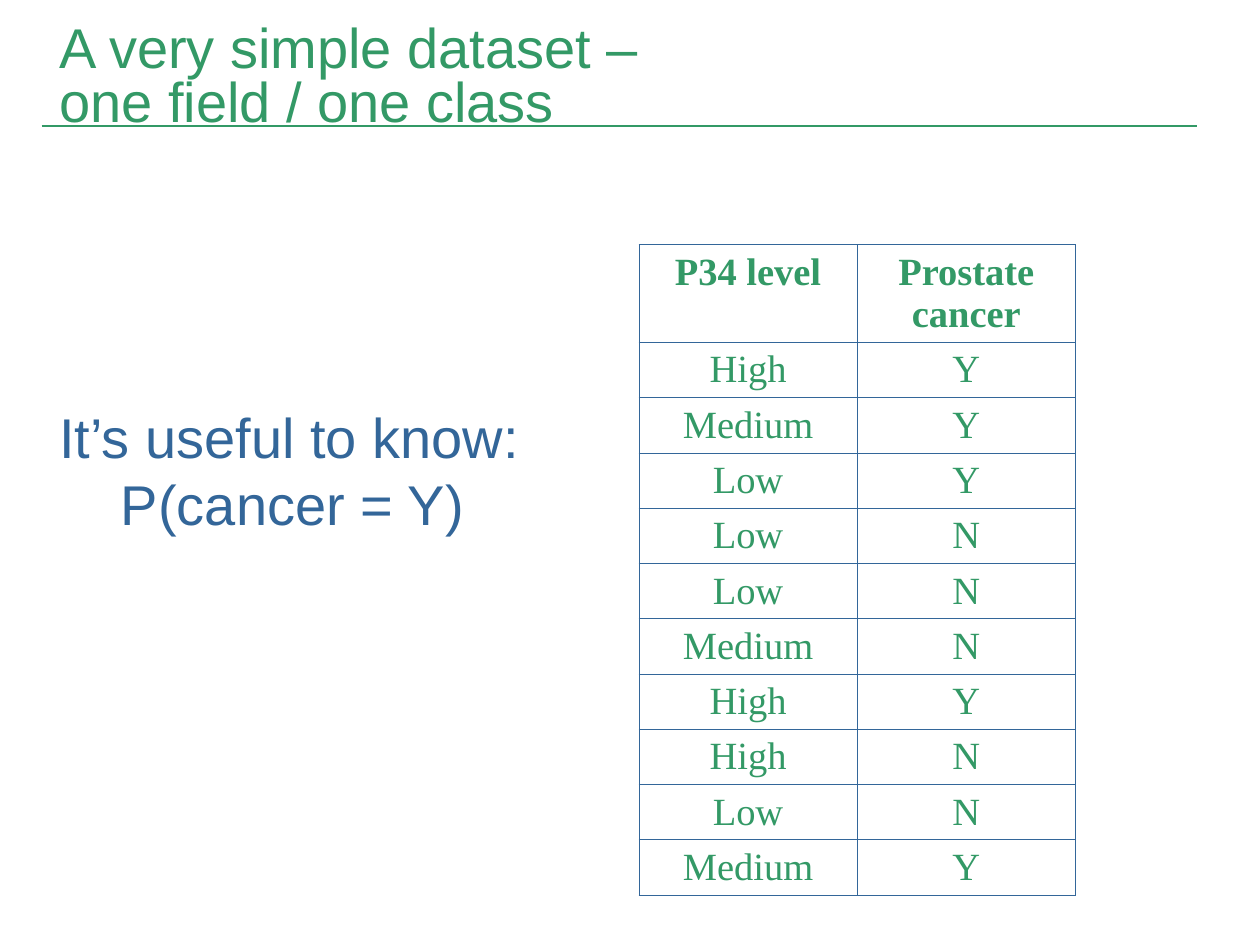
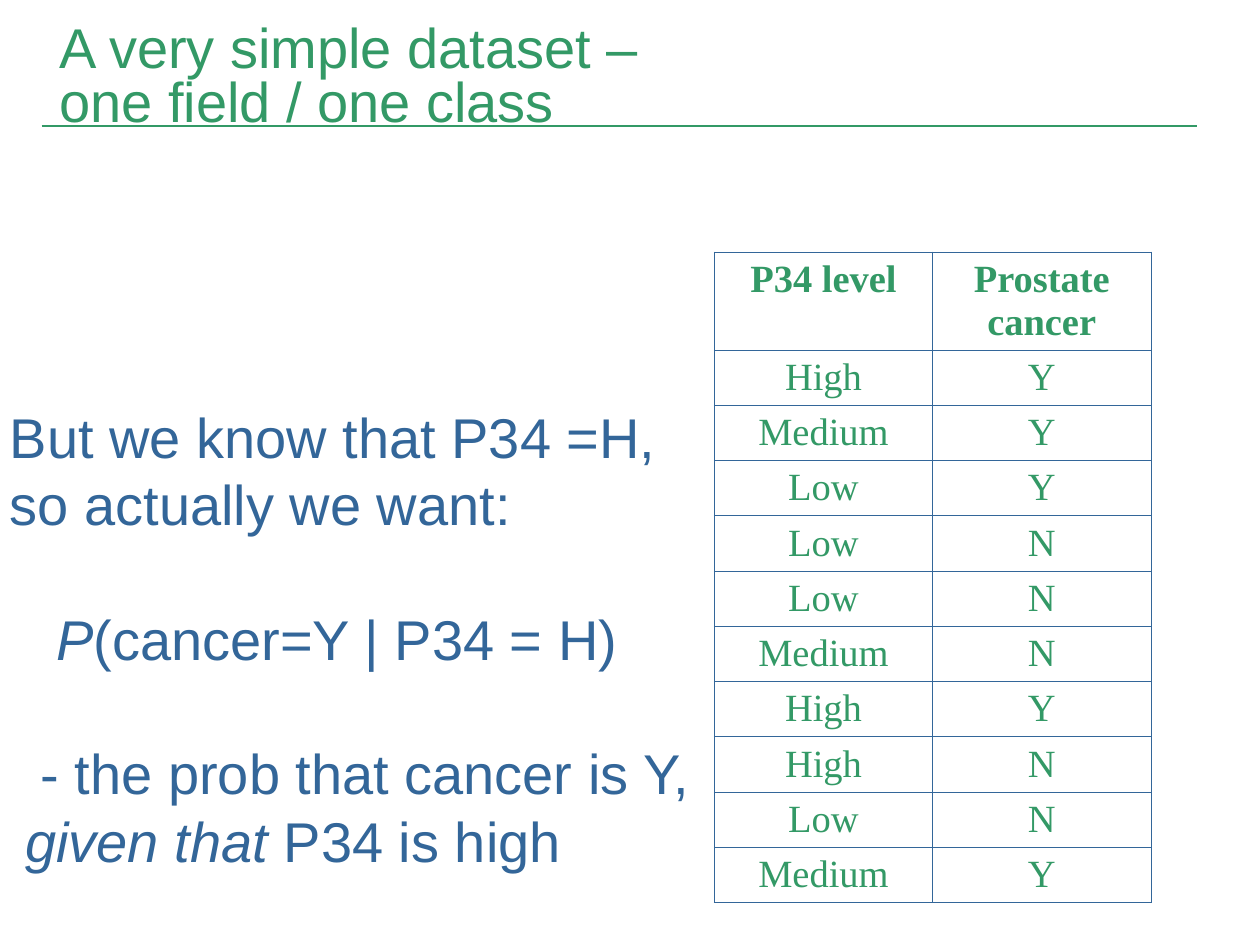
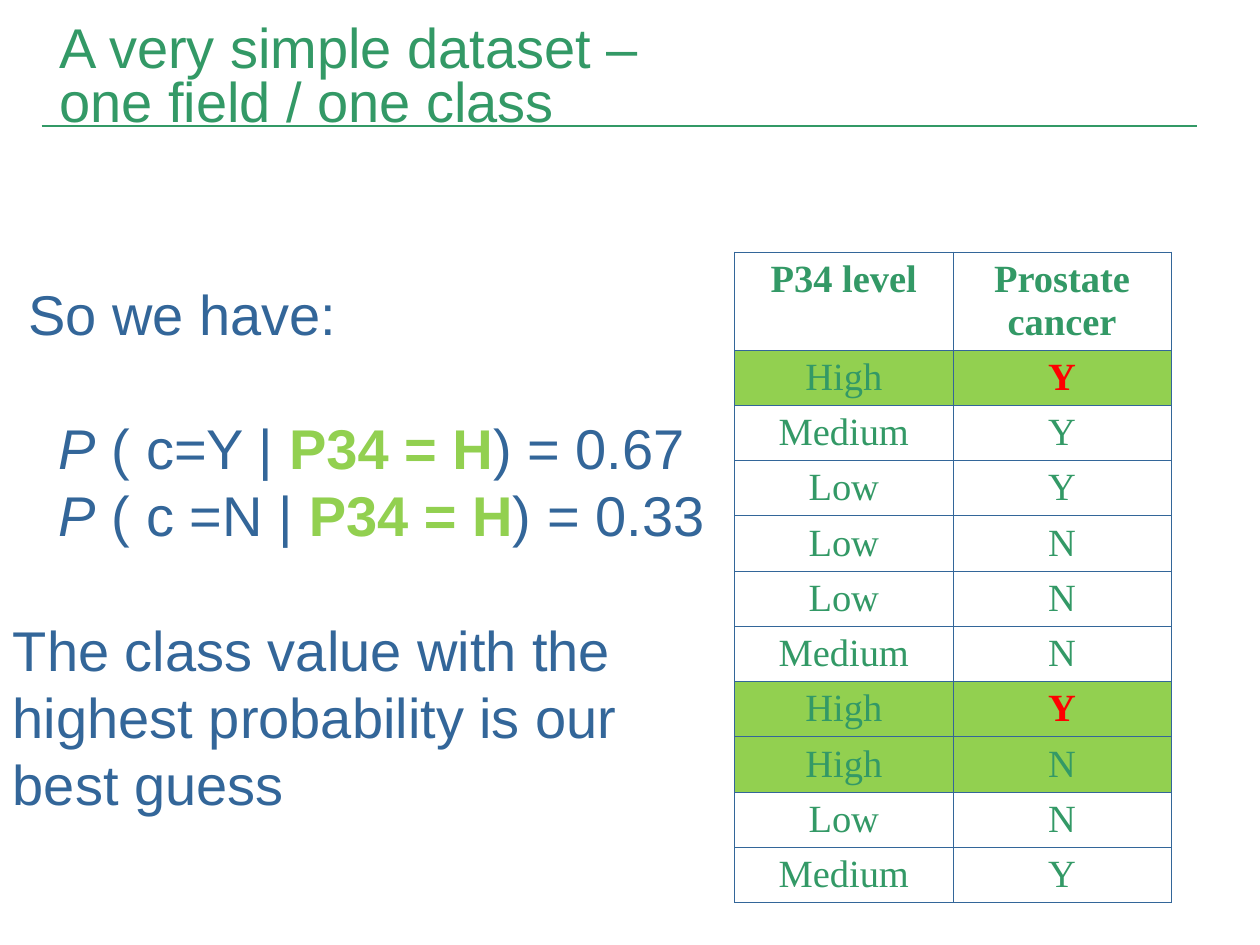
from dataclasses import dataclass

from lxml.etree import SubElement
from pptx import Presentation
from pptx.dml.color import RGBColor
from pptx.enum.shapes import MSO_CONNECTOR
from pptx.enum.text import MSO_ANCHOR, MSO_AUTO_SIZE, PP_ALIGN
from pptx.oxml.ns import qn
from pptx.util import Cm, Pt


# Shared colours, fonts and sizes
@dataclass(frozen=True)
class Theme:
    green: str = "339966"
    blue: str = "336699"
    highlight: str = "92D050"
    red: str = "FF0000"
    white: str = "FFFFFF"
    sans: str = "Arial"
    serif: str = "Times New Roman"
    text_size: float = 32
    table_size: float = 22
    line_pitch: float = 38.4
    title_pitch: float = 30.8
    border_width: float = 0.45


THEME = Theme()
TITLE = "A very simple dataset –\vone field / one class"
SPACE = 0.31  # width of one indent step in cm

TITLE_FONT = {"name": THEME.sans, "size": Pt(THEME.text_size), "color": THEME.green}
TEXT_FONT = {**TITLE_FONT, "color": THEME.blue}
CELL_FONT = {"name": THEME.serif, "size": Pt(THEME.table_size), "color": THEME.green}
ITALIC = {"italic": True}
BOLD = {"bold": True}
EVIDENCE = {"bold": True, "color": THEME.highlight}
POSITIVE = {"bold": True, "color": THEME.red}

HEADER = ("P34 level", "Prostate cancer")
RECORDS = [
    ("High", "Y"), ("Medium", "Y"), ("Low", "Y"), ("Low", "N"), ("Low", "N"),
    ("Medium", "N"), ("High", "Y"), ("High", "N"), ("Low", "N"), ("Medium", "Y"),
]


@dataclass(frozen=True)
class Line:
    """One line of text: (text, format) spans, indent steps, blank line above."""
    spans: tuple
    indent: int = 0
    gap: bool = False


def plain(text, indent=0, gap=False):
    return Line(((text, {}),), indent, gap)


def probability(opening, condition, result, gap=False):
    spans = (("P", ITALIC), (opening, {}), (condition, EVIDENCE), (result, {}))
    return Line(spans, 3, gap)


# Each slide: text box (left, top, width, height), table corner, lines, highlighted level
SLIDES = [
    {
        "box": (0.97, 8.02, 10.36, 5.64),
        "corner": (12.88, 4.93),
        "lines": [plain("It’s useful to know:"), plain("P(cancer = Y)", 4)],
        "level": None,
    },
    {
        "box": (-0.03, 8.02, 14.4, 9.7),
        "corner": (14.4, 5.08),
        "lines": [
            plain("But we know that P34 =H,"),
            plain("so actually we want:"),
            Line((("P", ITALIC), ("(cancer=Y | P34 = H)", {})), 3, True),
            plain("- the prob that cancer is Y,", 2, True),
            Line((("given that", ITALIC), (" P34 is high", {})), 1),
        ],
        "level": None,
    },
    {
        "box": (0.03, 5.53, 14.5, 12.42),
        "corner": (14.81, 5.08),
        "lines": [
            plain("So we have:", 1),
            probability(" ( c=Y | ", "P34 = H", ") = 0.67", True),
            probability(" ( c =N | ", "P34 = H", ") = 0.33"),
            plain("The class value with the", gap=True),
            plain("highest probability is our"),
            plain("best guess"),
        ],
        "level": "High",
    },
]


def apply_font(font, values):
    for name, value in values.items():
        if name == "color":
            font.color.rgb = RGBColor.from_string(value)
        else:
            setattr(font, name, value)


def apply_values(target, values):
    for name, value in values.items():
        setattr(target, name, value)


# Title and the rule below it
def add_title(slide):
    title = slide.shapes.title
    apply_values(title, {"left": Cm(0.94), "top": Cm(0.02),
                         "width": Cm(24.46), "height": Cm(3.18)})
    frame = title.text_frame
    apply_values(frame, {"text": TITLE, "word_wrap": True,
                         "auto_size": MSO_AUTO_SIZE.NONE,
                         "vertical_anchor": MSO_ANCHOR.MIDDLE})
    paragraph = frame.paragraphs[0]
    apply_values(paragraph, {"alignment": PP_ALIGN.LEFT,
                             "line_spacing": Pt(THEME.title_pitch)})
    for run in paragraph.runs:
        apply_font(run.font, TITLE_FONT)


def add_layout_rule(slide):
    """Draw the title rule and move it to the layout that all slides share."""
    rule = slide.shapes.add_connector(
        MSO_CONNECTOR.STRAIGHT, Cm(0.84), Cm(2.54), Cm(24.13), Cm(2.54))
    rule.line.color.rgb = RGBColor.from_string(THEME.green)
    rule.line.width = Pt(1)
    SubElement(rule.element.spPr, qn("a:effectLst"))
    slide.slide_layout.shapes.element.append(rule.element)


# Explanation beside the table
def add_explanation(slide, box, lines):
    frame = slide.shapes.add_textbox(*map(Cm, box)).text_frame
    apply_values(frame, {"word_wrap": True,
                         "margin_left": Cm(0.23), "margin_right": Cm(0.23),
                         "margin_top": Cm(0.1), "margin_bottom": Cm(0.1)})
    for index, line in enumerate(lines):
        paragraph = frame.add_paragraph() if index else frame.paragraphs[0]
        paragraph.line_spacing = Pt(THEME.line_pitch)
        if line.gap:
            paragraph.space_before = Pt(THEME.line_pitch)
        if line.indent:
            properties = paragraph._p.get_or_add_pPr()
            properties.set("marL", str(Cm(line.indent * SPACE)))
        for text, values in line.spans:
            run = paragraph.add_run()
            run.text = text
            apply_font(run.font, {**TEXT_FONT, **values})


# Data table
def add_cell_borders(cell):
    properties = cell._tc.get_or_add_tcPr()
    for side in ("lnL", "lnR", "lnT", "lnB"):
        border = SubElement(properties, qn(f"a:{side}"),
                            w=str(Pt(THEME.border_width)))
        fill = SubElement(border, qn("a:solidFill"))
        SubElement(fill, qn("a:srgbClr"), val=THEME.blue)


def format_cell(cell, text, fill, values):
    add_cell_borders(cell)
    cell.fill.solid()
    cell.fill.fore_color.rgb = RGBColor.from_string(fill)
    paragraph = cell.text_frame.paragraphs[0]
    paragraph.alignment = PP_ALIGN.CENTER
    run = paragraph.add_run()
    run.text = text
    apply_font(run.font, {**CELL_FONT, "bold": False, **values})


def add_data_table(slide, corner, level):
    rows = [HEADER, *RECORDS]
    left, top = map(Cm, corner)
    table = slide.shapes.add_table(
        len(rows), len(HEADER), left, top, Cm(8.8), Cm(11.25)).table
    apply_values(table, {"first_row": False, "horz_banding": False})
    for column in table.columns:
        column.width = Cm(4.4)
    for row_index, record in enumerate(rows):
        table.rows[row_index].height = Cm(0.94 if row_index else 1.85)
        matches = record[0] == level
        fill = THEME.highlight if matches else THEME.white
        for column_index, text in enumerate(record):
            values = {} if row_index else BOLD
            if matches and text == "Y":
                values = POSITIVE
            format_cell(table.cell(row_index, column_index), text, fill, values)


def main():
    presentation = Presentation()
    presentation.slide_width = Cm(25.4)
    presentation.slide_height = Cm(19.05)
    title_only = presentation.slide_layouts[5]
    for content in SLIDES:
        slide = presentation.slides.add_slide(title_only)
        add_title(slide)
        add_data_table(slide, content["corner"], content["level"])
        add_explanation(slide, content["box"], content["lines"])
    add_layout_rule(presentation.slides[0])
    presentation.save("out.pptx")


if __name__ == "__main__":
    main()
